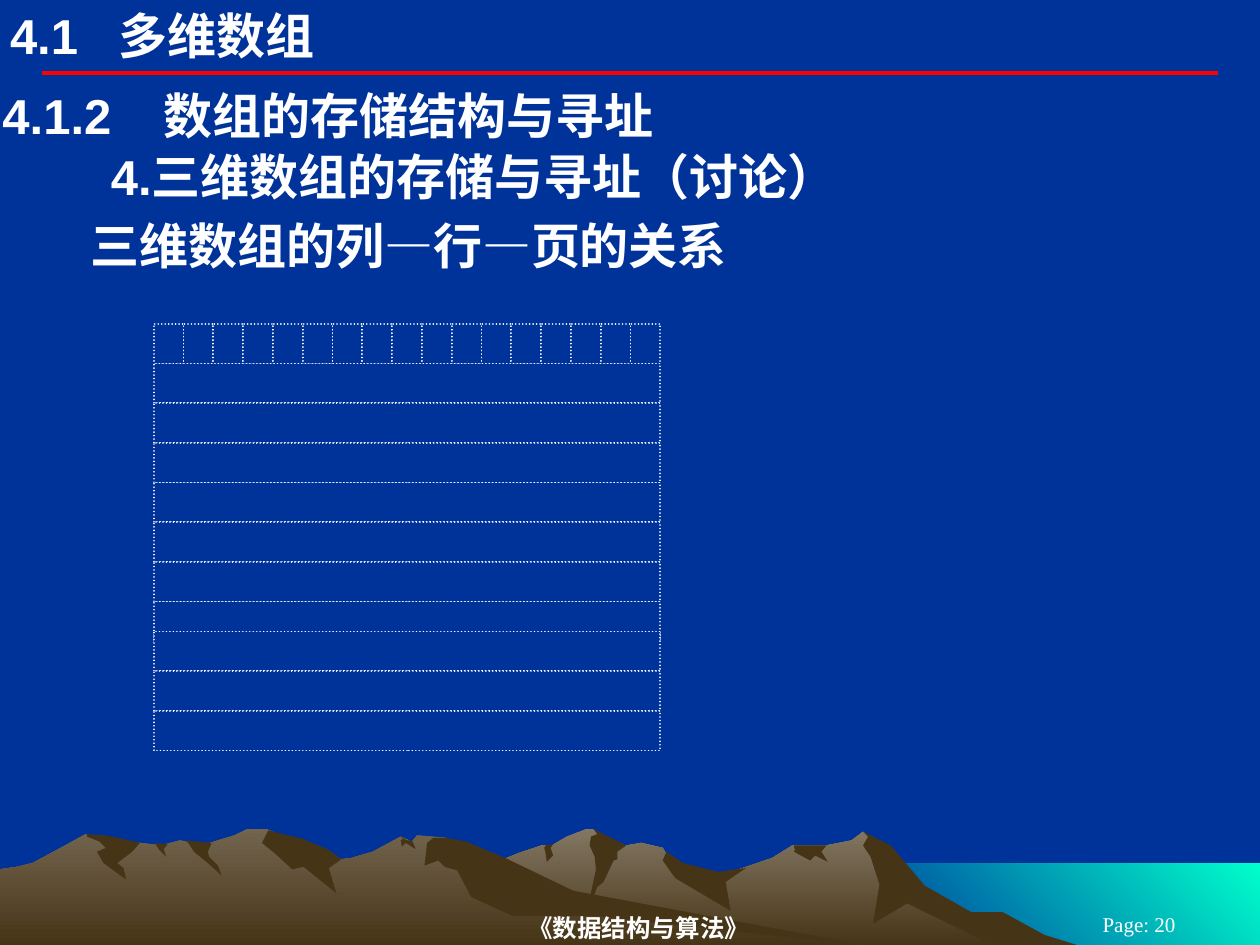
from dataclasses import dataclass
from typing import Any, NamedTuple

from lxml.etree import SubElement
from pptx import Presentation
from pptx.dml.color import RGBColor
from pptx.enum.dml import MSO_LINE
from pptx.enum.shapes import MSO_CONNECTOR, MSO_SHAPE
from pptx.enum.text import MSO_ANCHOR, MSO_AUTO_SIZE, PP_ALIGN
from pptx.oxml.ns import qn
from pptx.util import Inches, Pt

Points = list[tuple[float, float]]


@dataclass(frozen=True)
class Theme:
    night: str = "003399"
    water: str = "00FFCC"
    white: str = "FFFFFF"
    rule: str = "FF0000"
    shade: str = "463416"
    near_slope: str = "72644E"
    far_slope: str = "837763"
    heading: int = 28
    footer: int = 14
    number: int = 12
    sans: str = "Arial"
    serif: str = "Times New Roman"


class Shadow(NamedTuple):
    crest: tuple[float, float]
    offsets: Points


class Mountain(NamedTuple):
    color: str
    skyline: Points
    shadows: list[Shadow]


class Label(NamedTuple):
    words: str
    left: float
    top: float
    width: float
    height: float
    size: int
    font: str
    bold: bool = True
    indent: float = 0
    tab: float = 0
    inset: float = 0.02
    centered: bool = False


class Grid(NamedTuple):
    left: float
    top: float
    column: float
    row: float
    columns: int


THEME = Theme()
WIDTH, HEIGHT = 10, 7.5
GROUND = 7.51
SHORE_LEFT, SHORE_TOP = 6.83, 6.85
UNITS_PER_INCH = 100
GRID = Grid(left=1.22, top=2.57, column=4.02 / 17, row=0.315, columns=17)
FULL_BANDS, LAST_BANDS, OVERLAP = 7, 3, 0.25

EAST_PEAK = Shadow((6.85, 6.6), [
    (0.04, 0.04), (0, 0.11), (0.06, 0.2), (0.13, 0.42), (0.08, 0.73), (0.35, 0.57), (1.07, 0.92),
    (1.73, 0.91), (1.44, 0.82), (1.11, 0.64), (0.86, 0.64), (0.49, 0.43), (0.22, 0.11)])
MIDDLE_PEAK = Shadow((4.71, 6.58), [
    (0.03, 0.04), (-0.02, 0.06), (-0.03, 0.13), (0.01, 0.22), (0.02, 0.32), (-0.06, 0.69),
    (0.03, 0.46), (0.08, 0.42), (0.16, 0.25), (0.19, 0.24), (0.19, 0.18), (0.26, 0.13)])
SADDLE = Shadow((5.29, 6.76), [
    (-0.03, 0.07), (0.07, 0.21), (0.51, 0.47), (0.47, 0.24), (0.63, 0.13), (0.41, 0.16), (0.13, 0.09)])
NOTCH = Shadow((6.3, 6.71), [
    (0.01, 0.04), (0, 0.05), (0.13, 0.12), (0.17, 0.08), (0.27, 0.13), (0.22, 0.05), (0.26, 0)])
CLEFT = Shadow((4.33, 6.71), [
    (-0.01, 0.02), (0, 0.06), (0.01, 0.13), (0.06, 0.08), (0.04, 0.02), (0.06, -0.01)])
DOME = Shadow((2.13, 6.59), [
    (-0.05, 0.1), (0.06, 0.19), (0.19, 0.31), (0.28, 0.29), (0.54, 0.5), (0.48, 0.3),
    (0.58, 0.23), (0.47, 0.15), (0.25, 0.06), (0.11, 0.03)])
LONG_SPUR = Shadow((3.54, 6.65), [
    (-0.1, 0), (-0.15, 0.04), (-0.17, 0.22), (-0.06, 0.18), (-0.01, 0.23), (0.09, 0.26),
    (0.2, 0.47), (0.53, 0.62), (1.18, 0.62), (3.36, 0.86), (1.01, 0.42), (0.47, 0.16), (0.16, 0.03)])
PASS = Shadow((3.18, 6.64), [
    (0.02, 0.02), (0, 0.03), (0.01, 0.08), (0.04, 0.05), (0.12, 0.1), (0.09, 0.03), (0.05, 0.03)])
FOLD = Shadow((1.48, 6.67), [
    (0.06, 0.09), (0.17, 0.18), (0.28, 0.28), (0.25, 0.2), (0.18, 0.13), (0.17, 0.09), (0.2, 0.02)])
DIP = Shadow((1.23, 6.69), [(0.03, 0.05), (0.09, 0.11), (0.07, 0.05), (0.1, 0.01)])
WEST_PEAK = Shadow((0.69, 6.62), [
    (0, 0.02), (0.1, 0.06), (0.15, 0.11), (0.08, 0.14), (0.13, 0.23), (0.31, 0.36), (0.29, 0.27),
    (0.24, 0.23), (0.36, 0.14), (0.42, 0.07), (0.25, 0.03), (0.14, 0.01)])

FAR_SKYLINE = [
    (2.58, 0), (2.77, 0.12), (3.27, 0.42), (3.55, 0.53), (3.95, 0.67), (4.12, 0.74), (4.3, 0.8),
    (4.38, 0.8), (4.5, 0.87), (4.65, 0.93), (4.71, 0.93), (4.86, 0.78), (5.09, 0.82), (5.26, 0.78),
    (5.36, 0.61), (5.66, 0.54), (6.13, 0.7), (6.29, 0.8), (6.56, 0.8), (6.76, 0.84), (6.85, 0.91),
    (7.02, 0.8), (7.23, 0.53), (7.64, 0.28), (7.78, 0.24), (8.02, 0.11), (8.21, 0)]
NEAR_SKYLINE = [
    (0, 0.61), (0.14, 0.63), (0.26, 0.66), (0.5, 0.79), (0.68, 0.89), (0.94, 0.8), (1.11, 0.82),
    (1.28, 0.8), (1.43, 0.84), (1.6, 0.8), (1.86, 0.88), (1.96, 0.93), (2.12, 0.93), (2.23, 0.88),
    (2.36, 0.7), (2.6, 0.75), (2.71, 0.69), (2.79, 0.7), (2.96, 0.75), (3.18, 0.87), (3.27, 0.83),
    (3.31, 0.88), (3.54, 0.86), (4.32, 0.39), (6.9, 0)]
MOUNTAINS = [
    Mountain(THEME.far_slope, FAR_SKYLINE, [EAST_PEAK, MIDDLE_PEAK, SADDLE, NOTCH, CLEFT]),
    Mountain(THEME.near_slope, NEAR_SKYLINE, [DOME, LONG_SPUR, PASS, FOLD, DIP, WEST_PEAK]),
]

LABELS = [
    Label("《数据结构与算法》", 2.04, 7.22, 6.06, 0.28, THEME.footer, THEME.serif, centered=True),
    Label("Page: 20", 8.25, 7.25, 1.58, 0.17, THEME.number, THEME.serif, bold=False,
          inset=0.1, centered=True),
    Label("4.1\t多维数组", 0.08, 0.04, 6.5, 0.47, THEME.heading, THEME.sans, tab=0.86, inset=0),
    Label("4.1.2\t数组的存储结构与寻址", 0, 0.67, WIDTH, 0.49, THEME.heading, THEME.sans, tab=1.28),
    Label("4.三维数组的存储与寻址（讨论）", 0, 1.15, WIDTH, 0.49, THEME.heading, THEME.sans, indent=0.86),
    Label("三维数组的列—行—页的关系", 0, 1.7, WIDTH, 0.49, THEME.heading, THEME.sans, indent=0.7),
]


def rgb(code: str) -> RGBColor:
    return RGBColor.from_string(code)


def assign(target: Any, values: dict[str, Any]) -> None:
    for name, value in values.items():
        setattr(target, name, value)


def draw_outline(page: Any, points: Points, colors: list[str], angle: int = 270) -> None:
    units = [(round(x * UNITS_PER_INCH), round(y * UNITS_PER_INCH)) for x, y in points]
    builder = page.shapes.build_freeform(*units[0], scale=Inches(1) / UNITS_PER_INCH)
    builder.add_line_segments(units[1:], close=True)
    shape = builder.convert_to_shape()
    shape.shadow.inherit = False
    shape.line.fill.background()
    if len(colors) == 1:
        shape.fill.solid()
        shape.fill.fore_color.rgb = rgb(colors[0])
        return
    shape.fill.gradient()
    shape.fill.gradient_angle = angle
    for position, (stop, color) in enumerate(zip(shape.fill.gradient_stops, colors)):
        stop.position = position
        stop.color.rgb = rgb(color)


def draw_water(page: Any) -> None:
    corners = [(SHORE_LEFT, SHORE_TOP), (WIDTH, SHORE_TOP), (WIDTH, GROUND), (SHORE_LEFT, GROUND)]
    draw_outline(page, corners, [THEME.water, THEME.night], angle=225)


def draw_mountain(page: Any, mountain: Mountain) -> None:
    ridge = [(x, GROUND - rise) for x, rise in mountain.skyline]
    foot = [(ridge[-1][0], GROUND), (ridge[0][0], GROUND)]
    draw_outline(page, ridge + foot, [mountain.color, THEME.shade])
    for (crest_x, crest_y), offsets in mountain.shadows:
        edge = [(crest_x + across, crest_y + down) for across, down in [(0, 0)] + offsets]
        draw_outline(page, edge, [THEME.shade])


def draw_rule(page: Any) -> None:
    margin, level = WIDTH / 30, 0.58
    ends = map(Inches, (margin, level, WIDTH - margin, level))
    rule = page.shapes.add_connector(MSO_CONNECTOR.STRAIGHT, *ends)
    rule.line.color.rgb = rgb(THEME.rule)
    rule.line.width = Pt(2.25)
    SubElement(rule._element.spPr, qn("a:effectLst"))


def draw_cell(page: Any, column: float, row: float, columns: int) -> None:
    cell = page.shapes.add_shape(
        MSO_SHAPE.RECTANGLE,
        Inches(GRID.left + column * GRID.column), Inches(GRID.top + row * GRID.row),
        Inches(columns * GRID.column), Inches(GRID.row))
    cell.shadow.inherit = False
    cell.fill.solid()
    cell.fill.fore_color.rgb = rgb(THEME.night)
    cell.line.color.rgb = rgb(THEME.white)
    assign(cell.line, {"width": Pt(1), "dash_style": MSO_LINE.ROUND_DOT})
    cell._element.spPr.find(qn("a:ln")).set("cap", "rnd")


def draw_array(page: Any) -> None:
    for column in range(GRID.columns):
        draw_cell(page, column, 0, 1)
    for row in range(1, FULL_BANDS + LAST_BANDS + 1):
        draw_cell(page, 0, row - (OVERLAP if row > FULL_BANDS else 0), GRID.columns)


def draw_label(page: Any, label: Label) -> None:
    box = page.shapes.add_textbox(*map(Inches, (label.left, label.top, label.width, label.height)))
    side, edge = Inches(label.inset), Inches(label.inset / 2)
    assign(box.text_frame, {
        "word_wrap": True, "auto_size": MSO_AUTO_SIZE.NONE,
        "margin_left": side, "margin_right": side, "margin_top": edge, "margin_bottom": edge,
        "vertical_anchor": MSO_ANCHOR.MIDDLE if label.centered else MSO_ANCHOR.TOP,
    })
    para = box.text_frame.paragraphs[0]
    para.alignment = PP_ALIGN.CENTER if label.centered else PP_ALIGN.LEFT
    properties = para._p.get_or_add_pPr()
    if label.indent:
        properties.set("marL", str(Inches(label.indent)))
    if label.tab:
        stops = SubElement(properties, qn("a:tabLst"))
        SubElement(stops, qn("a:tab"), pos=str(Inches(label.tab)), algn="l")
    span = para.add_run()
    span.text = label.words
    assign(span.font, {"size": Pt(label.size), "name": label.font, "bold": label.bold})
    span.font.color.rgb = rgb(THEME.white)


def main() -> None:
    deck = Presentation()
    assign(deck, {"slide_width": Inches(WIDTH), "slide_height": Inches(HEIGHT)})
    page = deck.slides.add_slide(deck.slide_layouts[6])
    page.background.fill.solid()
    page.background.fill.fore_color.rgb = rgb(THEME.night)
    draw_water(page)
    for mountain in MOUNTAINS:
        draw_mountain(page, mountain)
    draw_rule(page)
    for label in LABELS:
        draw_label(page, label)
    draw_array(page)
    deck.save("out.pptx")


if __name__ == "__main__":
    main()
